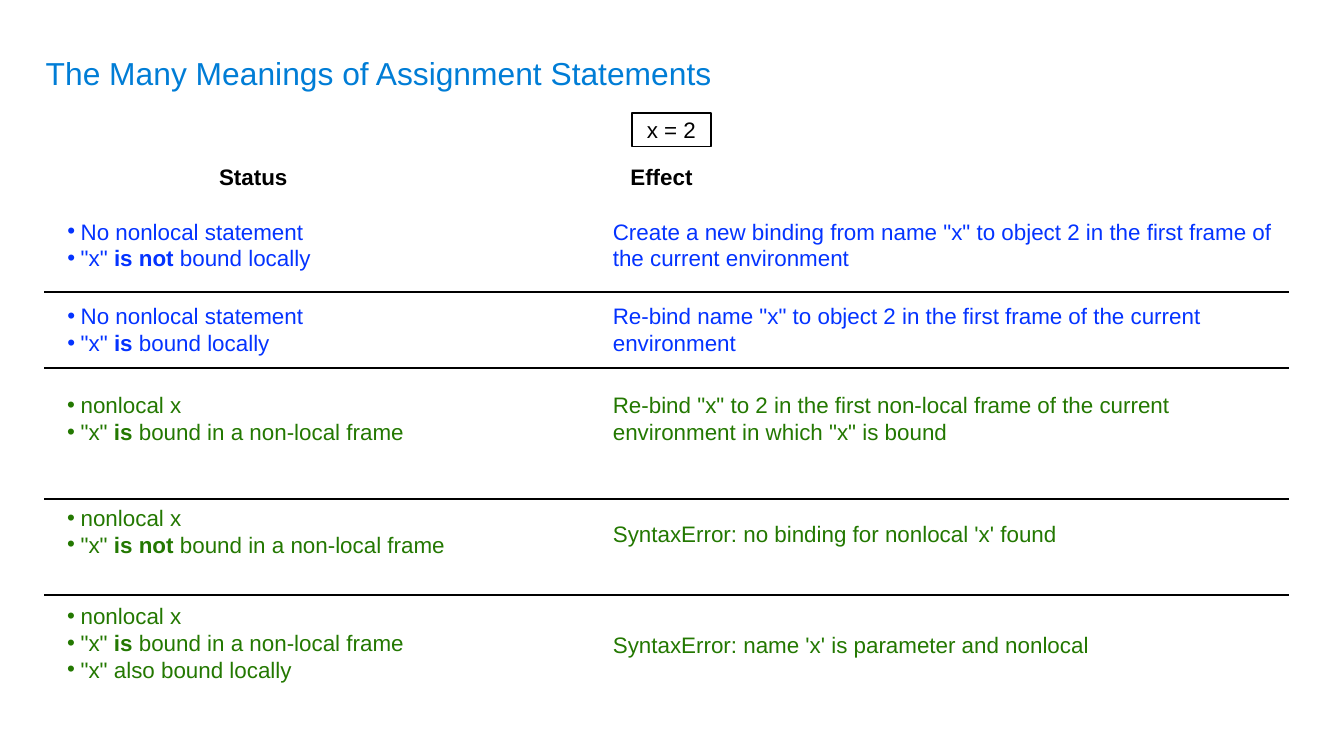
from dataclasses import dataclass

from lxml import etree
from pptx import Presentation
from pptx.dml.color import RGBColor
from pptx.enum.shapes import MSO_CONNECTOR, MSO_SHAPE
from pptx.enum.text import MSO_ANCHOR, PP_ALIGN
from pptx.oxml.ns import qn
from pptx.util import Inches, Pt

TOP, MIDDLE, BOTTOM = MSO_ANCHOR.TOP, MSO_ANCHOR.MIDDLE, MSO_ANCHOR.BOTTOM
CENTER = PP_ALIGN.CENTER
RECT = MSO_SHAPE.RECTANGLE
STRAIGHT = MSO_CONNECTOR.STRAIGHT

BLACK = RGBColor(0x00, 0x00, 0x00)
SKY = RGBColor(0x00, 0x7D, 0xD6)
BLUE = RGBColor(0x04, 0x33, 0xFF)
GREEN = RGBColor(0x23, 0x78, 0x01)

FONT = "Arial"
WIDE = 10
HIGH = WIDE * 9 / 16
PAD = 0.02
INDENT = 0.03


@dataclass
class Case:
    top: float
    wide: float
    high: float
    color: RGBColor
    status: list[str]  # every second part between asterisks is bold
    effect: str
    effect_top: float
    effect_high: float


CASES = [
    Case(1.6, 2.61, 0.44, BLUE,
         ["No nonlocal statement", '"x" *is not* bound locally'],
         'Create a new binding from name "x" to object 2 in the first frame of '
         "the current environment", 1.6, 0.44),
    Case(2.23, 2.41, 0.44, BLUE,
         ["No nonlocal statement", '"x" *is* bound locally'],
         'Re-bind name "x" to object 2 in the first frame of the current '
         "environment", 2.23, 0.44),
    Case(2.89, 3.26, 0.64, GREEN,
         ["nonlocal x", '"x" *is* bound in a non-local frame'],
         'Re-bind "x" to 2 in the first non-local frame of the current '
         'environment in which "x" is bound', 2.89, 0.44),
    Case(3.73, 3.26, 0.64, GREEN,
         ["nonlocal x", '"x" *is not* bound in a non-local frame'],
         "SyntaxError: no binding for nonlocal 'x' found", 3.85, 0.24),
    Case(4.46, 3.54, 0.83, GREEN,
         ["nonlocal x", '"x" *is* bound in a non-local frame',
          '"x" also bound locally'],
         "SyntaxError: name 'x' is parameter and nonlocal", 4.68, 0.24),
]
RULES = [2.17, 2.74, 3.71, 4.43]


def set_frame(shape, anchor: MSO_ANCHOR, pad: float = PAD):
    frame = shape.text_frame
    frame.word_wrap = True
    frame.vertical_anchor = anchor
    frame.margin_left = frame.margin_right = Inches(pad)
    frame.margin_top = frame.margin_bottom = Inches(pad)
    return frame


def add_box(slide, left: float, top: float, wide: float, high: float,
            anchor: MSO_ANCHOR = TOP, pad: float = PAD):
    box = slide.shapes.add_textbox(
        Inches(left), Inches(top), Inches(wide), Inches(high))
    return set_frame(box, anchor, pad)


def set_indent(para, left: float, first: float = 0) -> None:
    props = para._p.get_or_add_pPr()
    props.set("marL", str(Inches(left)))
    props.set("marR", str(Inches(INDENT)))
    props.set("indent", str(Inches(first)))


def add_bullet(para, color: RGBColor) -> None:
    set_indent(para, 0.14, -0.1)
    props = para._p.get_or_add_pPr()
    tint = etree.SubElement(props, qn("a:buClr"))
    etree.SubElement(tint, qn("a:srgbClr"), val=str(color))
    etree.SubElement(props, qn("a:buFont"), typeface=FONT)
    etree.SubElement(props, qn("a:buChar"), char="•")


def add_run(para, text: str, color: RGBColor, size: float = 12,
            bold: bool = False) -> None:
    run = para.add_run()
    run.text = text
    run.font.name = FONT
    run.font.size = Pt(size)
    run.font.bold = bold
    run.font.color.rgb = color


def add_case(slide, case: Case) -> None:
    frame = add_box(slide, 0.44, case.top, case.wide, case.high)
    for row, line in enumerate(case.status):
        para = frame.add_paragraph() if row else frame.paragraphs[0]
        add_bullet(para, case.color)
        for part, text in enumerate(line.split("*")):
            add_run(para, text, case.color, bold=part % 2 == 1)

    frame = add_box(slide, 4.51, case.effect_top, 5.05, case.effect_high)
    para = frame.paragraphs[0]
    para.level = 1
    set_indent(para, INDENT)
    add_run(para, case.effect, case.color)


def add_rule(slide, top: float) -> None:
    rule = slide.shapes.add_connector(
        STRAIGHT, Inches(0.33), Inches(top), Inches(9.59), Inches(top))
    rule.line.color.rgb = BLACK
    rule.line.width = Pt(1)
    etree.SubElement(rule._element.spPr, qn("a:effectLst"))


def main() -> None:
    deck = Presentation()
    deck.slide_width, deck.slide_height = Inches(WIDE), Inches(HIGH)
    slide = deck.slides.add_slide(deck.slide_layouts[6])

    # Title
    para = add_box(slide, 0.34, 0, 7.61, 0.69, BOTTOM, 0).paragraphs[0]
    para.line_spacing = 0.9
    add_run(para, "The Many Meanings of Assignment Statements", SKY, 17)

    # Framed statement
    frame = slide.shapes.add_shape(
        RECT, Inches(4.7), Inches(0.84), Inches(0.59), Inches(0.25))
    frame.shadow.inherit = False
    frame.fill.background()
    frame.line.color.rgb = BLACK
    frame.line.width = Pt(1)
    para = set_frame(frame, MIDDLE).paragraphs[0]
    para.alignment = CENTER
    set_indent(para, INDENT)
    add_run(para, "x = 2", BLACK)

    # Column heads
    for left, text in ((1.58, "Status"), (4.64, "Effect")):
        para = add_box(slide, left, 1.19, 0.68, 0.24, MIDDLE).paragraphs[0]
        set_indent(para, INDENT)
        add_run(para, text, BLACK, bold=True)

    # Cases and the rules between them
    for case in CASES:
        add_case(slide, case)
    for top in RULES:
        add_rule(slide, top)

    deck.save("out.pptx")


if __name__ == "__main__":
    main()
